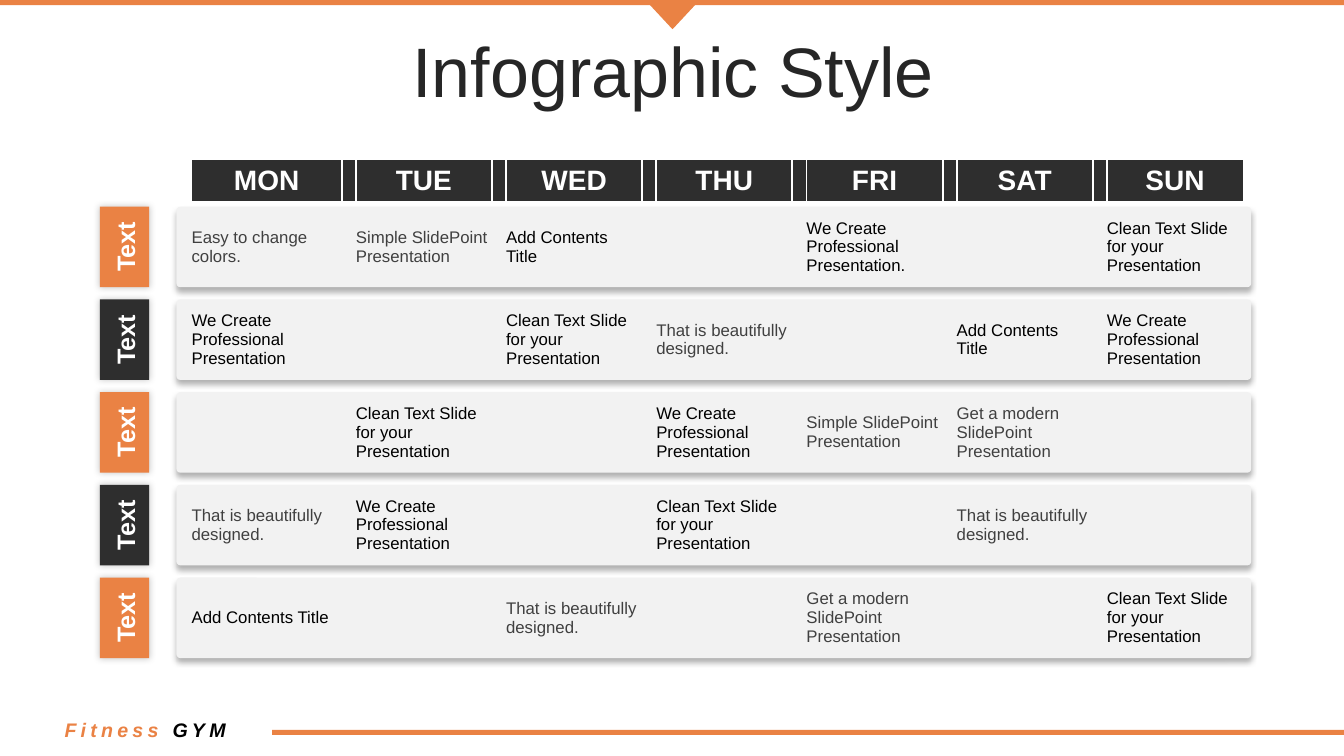
from dataclasses import dataclass
from typing import Optional

from lxml.etree import SubElement
from pptx import Presentation
from pptx.dml.color import RGBColor
from pptx.enum.shapes import MSO_SHAPE
from pptx.enum.text import MSO_ANCHOR, PP_ALIGN
from pptx.oxml import parse_xml
from pptx.oxml.ns import qn
from pptx.shapes.autoshape import Shape
from pptx.slide import Slide
from pptx.table import Table, _Cell
from pptx.text.text import TextFrame
from pptx.util import Inches, Pt

ORANGE = RGBColor(0xEA, 0x82, 0x44)
DARK = RGBColor(0x2E, 0x2E, 0x2E)
PALE = RGBColor(0xF2, 0xF2, 0xF2)
GRAY = RGBColor(0x40, 0x40, 0x40)
INK = RGBColor(0x26, 0x26, 0x26)
BLACK = RGBColor(0, 0, 0)
WHITE = RGBColor(0xFF, 0xFF, 0xFF)
FONT = "Arial"
PLAIN = "{2D5ABB26-0587-4C30-8999-92F81FD0307C}"
SPACE = "http://schemas.openxmlformats.org/drawingml/2006/main"


@dataclass(frozen=True)
class Box:
    left: float
    top: float
    width: float
    height: float


@dataclass(frozen=True)
class Shade:
    alpha: int
    blur: float
    dist: float
    angle: int


@dataclass(frozen=True)
class Note:
    text: str
    color: RGBColor


EASY = Note("Easy to change colors.", GRAY)
SIMPLE = Note("Simple SlidePoint Presentation", GRAY)
LOVELY = Note("That is beautifully designed.", GRAY)
MODERN = Note("Get a modern SlidePoint Presentation", GRAY)
ADD = Note("Add Contents Title", BLACK)
CLEAN = Note("Clean Text Slide for your Presentation", BLACK)
CREATE = Note("We Create\nProfessional Presentation", BLACK)
CLOSED = Note("We Create\nProfessional Presentation.", BLACK)

DAYS = ["MON", "TUE", "WED", "THU", "FRI", "SAT", "SUN"]
PLAN: list[list[Optional[Note]]] = [
    [EASY, SIMPLE, ADD, None, CLOSED, None, CLEAN],
    [CREATE, None, CLEAN, LOVELY, None, ADD, CREATE],
    [None, CLEAN, None, CREATE, SIMPLE, MODERN, None],
    [LOVELY, CREATE, None, CLEAN, None, LOVELY, None],
    [ADD, None, LOVELY, None, MODERN, None, CLEAN],
]
TOP, STEP, HIGH = 2.05, 0.92, 0.8
BAR_SHADE = Shade(30, 4, 3, 90)
TAB_SHADE = Shade(22, 5, 0, 0)


def place(box: Box) -> tuple:
    return tuple(Inches(n) for n in (box.left, box.top, box.width, box.height))


def add_block(slide: Slide, kind: MSO_SHAPE, box: Box, color: RGBColor,
              shade: Optional[Shade] = None) -> Shape:
    shape = slide.shapes.add_shape(kind, *place(box))
    shape.shadow.inherit = False
    shape.fill.solid()
    shape.fill.fore_color.rgb = color
    shape.line.fill.background()
    if shade:
        effects = shape._element.spPr.find(qn("a:effectLst"))
        outer = SubElement(effects, qn("a:outerShdw"), blurRad=str(Pt(shade.blur)),
                           dist=str(Pt(shade.dist)), dir=str(shade.angle * 60000),
                           algn="ctr", rotWithShape="0")
        tint = SubElement(outer, qn("a:srgbClr"), val="000000")
        SubElement(tint, qn("a:alpha"), val=str(shade.alpha * 1000))
    return shape


def style(frame: TextFrame, size: int, color: RGBColor, bold: bool = False,
          align: PP_ALIGN = PP_ALIGN.CENTER) -> None:
    for line in frame.paragraphs:
        line.alignment = align
        for run in line.runs:
            run.font.name = FONT
            run.font.size = Pt(size)
            run.font.bold = bold
            run.font.color.rgb = color


def add_text(slide: Slide, box: Box) -> TextFrame:
    frame = slide.shapes.add_textbox(*place(box)).text_frame
    frame.word_wrap = True
    frame.vertical_anchor = MSO_ANCHOR.MIDDLE
    return frame


def add_frame(slide: Slide) -> None:
    wedge = add_block(slide, MSO_SHAPE.ISOSCELES_TRIANGLE, Box(6.4, 0, 0.54, 0.29), ORANGE)
    wedge.rotation = 180
    add_block(slide, MSO_SHAPE.RECTANGLE, Box(0, 0, 13.33, 0.05), ORANGE)
    add_block(slide, MSO_SHAPE.RECTANGLE, Box(2.7, 7.24, 10.63, 0.05), ORANGE)
    brand = add_text(slide, Box(0.51, 7.01, 1.86, 0.45))
    line = brand.paragraphs[0]
    for word in ("Fitness ", "GYM"):
        line.add_run().text = word
    style(brand, 14, ORANGE, True)
    for run in line.runs:
        run.font.italic = True
        run.font._element.set("spc", "300")
    line.runs[1].font.color.rgb = BLACK
    title = add_text(slide, Box(0.35, 0.37, 12.66, 0.79))
    title.text = "Infographic Style"
    title.paragraphs[0].line_spacing = 0.8
    style(title, 50, INK)


def add_row(slide: Slide, top: float, color: RGBColor) -> None:
    bar = add_block(slide, MSO_SHAPE.ROUNDED_RECTANGLE, Box(1.75, top, 10.66, HIGH),
                    PALE, BAR_SHADE)
    bar.adjustments[0] = 0.05
    add_block(slide, MSO_SHAPE.RECTANGLE, Box(0.99, top, 0.49, HIGH), color, TAB_SHADE)
    label = add_block(slide, MSO_SHAPE.RECTANGLE, Box(0.88, top + 0.2, 0.72, 0.4), color)
    label.rotation = 270
    frame = label.text_frame
    frame.word_wrap = False
    frame.vertical_anchor = MSO_ANCHOR.MIDDLE
    frame.text = "Text"
    style(frame, 18, WHITE, True)


def clear(cell: _Cell) -> None:
    cell.fill.background()
    cell.margin_left = cell.margin_right = cell.margin_top = cell.margin_bottom = 0
    cell.vertical_anchor = MSO_ANCHOR.MIDDLE


def add_edge(cell: _Cell, side: str) -> None:
    edge = parse_xml(f'<a:{side} xmlns:a="{SPACE}" w="{Pt(1.5)}"><a:solidFill>'
                     f'<a:srgbClr val="{WHITE}"/></a:solidFill></a:{side}>')
    cell._tc.get_or_add_tcPr().insert(0, edge)


def fill_head(table: Table) -> None:
    last = len(table.columns) - 1
    for col, cell in enumerate(table.rows[0].cells):
        cell.fill.solid()
        cell.fill.fore_color.rgb = DARK
        if col % 2:
            add_edge(cell, "lnL")
            continue
        cell.text_frame.text = DAYS[col // 2]
        style(cell.text_frame, 20, WHITE, True)
        if col < last:
            add_edge(cell, "lnR")


def add_plan(slide: Slide) -> None:
    widths = [1.49] + [0.14, 1.35] * 6
    heights = [0.4, 0.06] + [HIGH, 0.12] * 4 + [HIGH]
    box = Box(1.9, 1.59, sum(widths), sum(heights))
    frame = slide.shapes.add_table(len(heights), len(widths), *place(box))
    table = frame.table
    table.first_row = table.horz_banding = False
    table._tbl.tblPr.find(qn("a:tableStyleId")).text = PLAIN
    for col, width in zip(table.columns, widths):
        col.width = Inches(width)
    for row, height in zip(table.rows, heights):
        row.height = Inches(height)
    for cell in table.iter_cells():
        clear(cell)
    fill_head(table)
    for row, notes in enumerate(PLAN):
        for col, note in enumerate(notes):
            if note:
                text = table.cell(2 * row + 2, 2 * col).text_frame
                text.text = note.text
                style(text, 12, note.color, align=PP_ALIGN.LEFT)
    for cell in table.iter_cells():
        if not cell.text_frame.text:
            SubElement(cell.text_frame.paragraphs[0]._p, qn("a:endParaRPr"), sz="200")


def main() -> None:
    deck = Presentation()
    deck.slide_width, deck.slide_height = Inches(13.33), Inches(7.5)
    slide = deck.slides.add_slide(deck.slide_layouts[6])
    add_frame(slide)
    for row in range(len(PLAN)):
        add_row(slide, TOP + row * STEP, DARK if row % 2 else ORANGE)
    add_plan(slide)
    deck.save("out.pptx")


if __name__ == "__main__":
    main()
